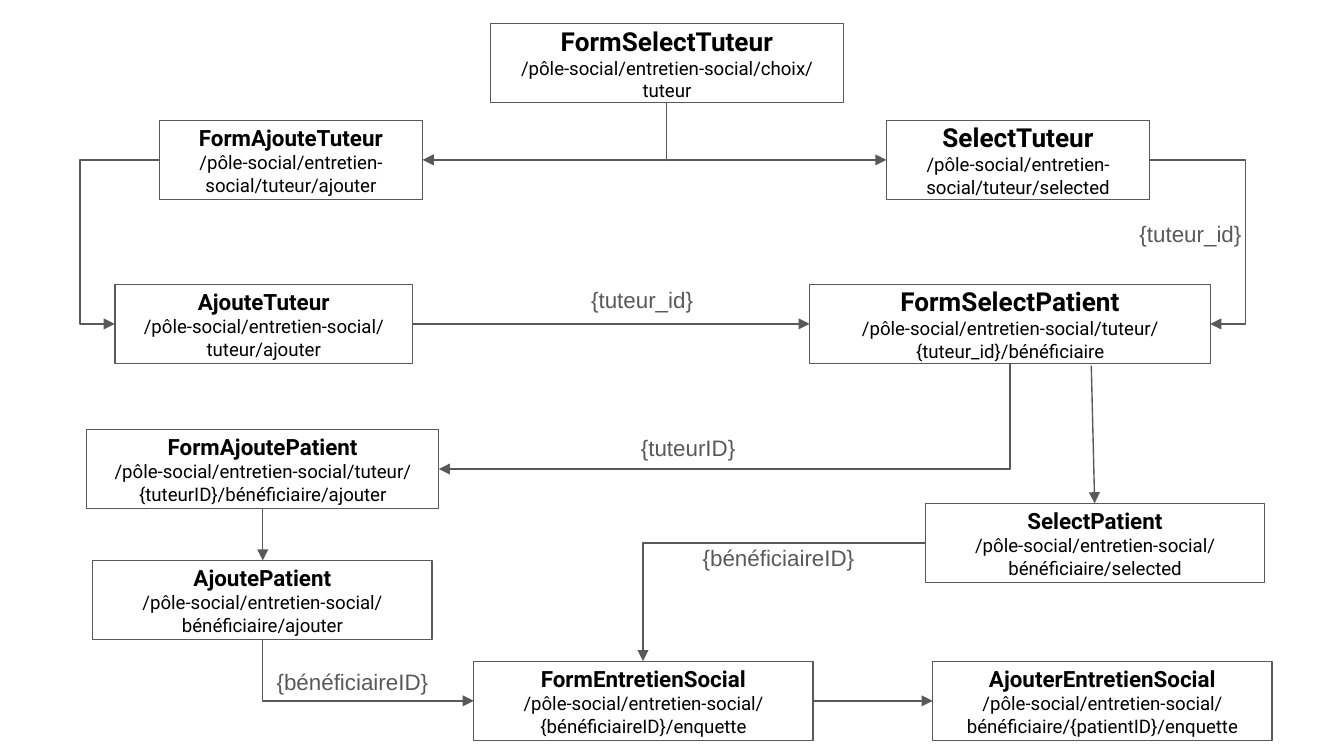
from pptx import Presentation
from pptx.dml.color import RGBColor
from pptx.enum.shapes import MSO_CONNECTOR as CONN, MSO_SHAPE as SHAPE
from pptx.enum.text import MSO_ANCHOR as ANCHOR, MSO_AUTO_SIZE as AUTO, PP_ALIGN as ALIGN
from pptx.oxml.ns import qn
from pptx.util import Pt
from lxml.etree import SubElement

PX = 4572  # 200 px to the inch
COLORS = {"grey": "595959", "black": "000000"}


def write(tf, text, size=10, font="Roboto", color="black", bold=False, align=ALIGN.CENTER):
    tf.word_wrap = True
    tf.margin_left = tf.margin_right = tf.margin_top = tf.margin_bottom = 20 * PX
    p = tf.add_paragraph() if tf.text else tf.paragraphs[0]
    p.alignment = align
    r = p.add_run()
    r.text = text
    r.font.size, r.font.name, r.font.bold = Pt(size), font, bold
    r.font.color.rgb = RGBColor.from_string(COLORS[color])


def arrow(x1, y1, x2, y2, route="straight", via=None):
    """Routes: straight, across (then down), down (then across), around (by x = via)."""
    ends, rot = (x1, y1, x2, y2), 0
    if route == "down":  # a quarter turn about the centre
        cx, cy, dx, dy = (x1 + x2) / 2, (y1 + y2) / 2, x2 - x1, y2 - y1
        side = 1 if dx > 0 else -1
        ends = (cx + side * dy / 2, cy - abs(dx) / 2, cx - side * dy / 2, cy + abs(dx) / 2)
        rot = 270 if dx > 0 else 90
    kind = CONN.STRAIGHT if route == "straight" else CONN.ELBOW
    c = shapes.add_connector(kind, *[int(v * PX) for v in ends])
    c.line.width = Pt(0.75)
    c.line.color.rgb = RGBColor.from_string(COLORS["grey"])
    sp_pr = c._element.spPr
    SubElement(sp_pr.find(qn("a:ln")), qn("a:tailEnd"), type="triangle")
    SubElement(sp_pr, qn("a:effectLst"))
    geom = sp_pr.find(qn("a:prstGeom"))
    if route in ("across", "down"):
        geom.set("prst", "bentConnector2")
    if rot:
        sp_pr.find(qn("a:xfrm")).set("rot", str(rot * 60000))
    if via is not None:
        adj = round((via - x1) / (x2 - x1) * 100000)
        SubElement(geom.find(qn("a:avLst")), qn("a:gd"), name="adj1", fmla=f"val {adj}")


prs = Presentation()
prs.slide_width, prs.slide_height = 2000 * PX, 1125 * PX
s = prs.slides.add_slide(prs.slide_layouts[6])
shapes = s.shapes

# Page boxes: left, top, width, title size, title, rest of the route
BOX_H = 118
ROOT = "/pôle-social/entretien-social/"
boxes = [
    (730, 35, 525, 14, "FormSelectTuteur", "choix/tuteur"),
    (237, 179, 392, 12, "FormAjouteTuteur", "tuteur/ajouter"),
    (1319, 179, 392, 14, "SelectTuteur", "tuteur/selected"),
    (171, 423, 443, 12, "AjouteTuteur", "tuteur/ajouter"),
    (1205, 423, 596, 14, "FormSelectPatient", "tuteur/{tuteur_id}/bénéficiaire"),
    (129, 639, 524, 12, "FormAjoutePatient", "tuteur/{tuteurID}/bénéficiaire/ajouter"),
    (1377, 749, 505, 12, "SelectPatient", "bénéficiaire/selected"),
    (138, 834, 505, 12, "AjoutePatient", "bénéficiaire/ajouter"),
    (705, 984, 505, 12, "FormEntretienSocial", "{bénéficiaireID}/enquette"),
    (1388, 984, 505, 12, "AjouterEntretienSocial", "bénéficiaire/{patientID}/enquette"),
]
for x, y, w, size, title, route in boxes:
    sp = shapes.add_shape(SHAPE.RECTANGLE, x * PX, y * PX, w * PX, BOX_H * PX)
    sp.shadow.inherit = False
    sp.fill.background()
    sp.line.width = Pt(0.75)
    sp.line.color.rgb = RGBColor.from_string(COLORS["grey"])
    tf = sp.text_frame
    tf.vertical_anchor = ANCHOR.MIDDLE
    write(tf, title, size=size, bold=True)
    write(tf, ROOT + route)

# Tutor flow
arrow(992, 153, 629, 238, "down")
arrow(992, 153, 1319, 238, "down")
arrow(237, 238, 171, 482, "around", via=119)
arrow(1711, 238, 1801, 482, "around", via=1853)
arrow(614, 482, 1205, 482)

# Patient flow
arrow(1503, 541, 653, 698, "down")
arrow(1624, 544, 1629, 749)
arrow(391, 757, 391, 834)

# Interview flow
arrow(1377, 808, 957, 984, "across")
arrow(391, 952, 705, 1043, "down")
arrow(1210, 1043, 1388, 1043)

# Parameter labels
labels = [
    (1676, 308, 228, "{tuteur_id}"),
    (860, 406, 228, "{tuteur_id}"),
    (934, 626, 228, "{tuteurID}"),
    (1026, 790, 280, "{bénéficiaireID}"),
    (392, 974, 280, "{bénéficiaireID}"),
]
for x, y, w, text in labels:
    tf = shapes.add_textbox(x * PX, y * PX, w * PX, 80 * PX).text_frame
    tf.auto_size = AUTO.SHAPE_TO_FIT_TEXT
    write(tf, text, size=12, font="Arial", color="grey", align=ALIGN.LEFT)

prs.save("out.pptx")
